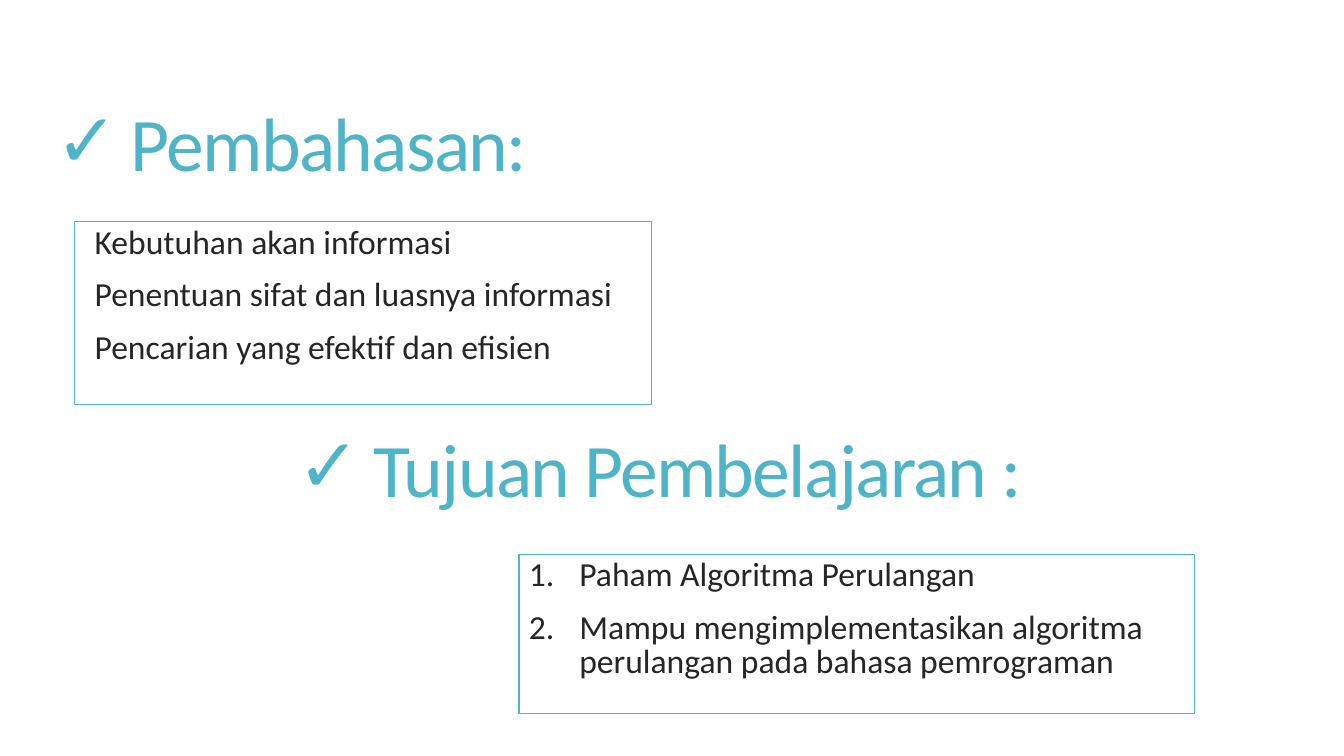
from lxml.etree import SubElement
from pptx import Presentation
from pptx.dml.color import RGBColor
from pptx.enum.text import MSO_ANCHOR, MSO_AUTO_SIZE, PP_ALIGN
from pptx.oxml.ns import qn
from pptx.util import Cm, Pt

TEAL = "50B4C8"
DARK = "262626"
FONT = "Calibri"


def color(value):
    return RGBColor.from_string(value)


def place(shape, box):
    shape.left, shape.top, shape.width, shape.height = [Cm(length) for length in box]


def set_bullet(para, margin, hanging, tag, **attributes):
    properties = para._p.get_or_add_pPr()
    properties.set("marL", str(Cm(margin)))
    properties.set("indent", str(-Cm(hanging)))
    if tag != "a:buNone":
        SubElement(properties, qn("a:buFont"), typeface=FONT)
    SubElement(properties, qn(tag), **attributes)


def write(shape, lines, size, hue, anchor, space_before):
    frame = shape.text_frame
    frame.text = "\n".join(lines)
    frame.word_wrap = True
    frame.auto_size = MSO_AUTO_SIZE.NONE
    frame.vertical_anchor = anchor
    for para in frame.paragraphs:
        para.alignment = PP_ALIGN.LEFT
        para.line_spacing = 0.85
        para.space_before = Pt(space_before)
        for span in para.runs:
            span.font.name = FONT
            span.font.size = Pt(size)
            span.font.color.rgb = color(hue)
    return frame.paragraphs


def heading(shape, box, text):
    """Large heading with a check mark."""
    place(shape, box)
    for para in write(shape, [text], 54, TEAL, MSO_ANCHOR.MIDDLE, 0):
        set_bullet(para, 1.9, 1.9, "a:buChar", char="✓")
        for span in para.runs:
            span.font._element.set("spc", "-120")


def framed_list(shape, box, lines, numbered=False):
    """Outlined list, plain or numbered."""
    place(shape, box)
    shape.line.color.rgb = color(TEAL)
    shape.line.width = Pt(0.75)
    for para in write(shape, lines, 24, DARK, MSO_ANCHOR.TOP, 13):
        if numbered:
            set_bullet(para, 1.27, 1.27, "a:buAutoNum", type="arabicPeriod")
        else:
            set_bullet(para, 0.25, 0, "a:buNone")


def topics_page(deck):
    page = deck.slides.add_slide(deck.slide_layouts[1])

    # Topics, upper left
    heading(page.shapes.title, (1.14, 1.45, 17.78, 4.6), "Pembahasan:")
    framed_list(page.placeholders[1], (1.88, 5.59, 14.55, 4.6), [
        "Kebutuhan akan informasi",
        "Penentuan sifat dan luasnya informasi",
        "Pencarian yang efektif dan efisien",
    ])

    # Learning goals, lower right
    goals_title, goals = [page.shapes.add_textbox(0, 0, 0, 0) for _ in range(2)]
    heading(goals_title, (7.26, 10.19, 21.59, 3.51), "Tujuan Pembelajaran :")
    framed_list(goals, (13.08, 13.97, 17.02, 4.01), [
        "Paham Algoritma Perulangan",
        "Mampu mengimplementasikan algoritma perulangan pada bahasa pemrograman",
    ], numbered=True)


def main():
    deck = Presentation()
    deck.slide_width, deck.slide_height = Cm(33.87), Cm(19.05)
    topics_page(deck)
    deck.save("out.pptx")


if __name__ == "__main__":
    main()
